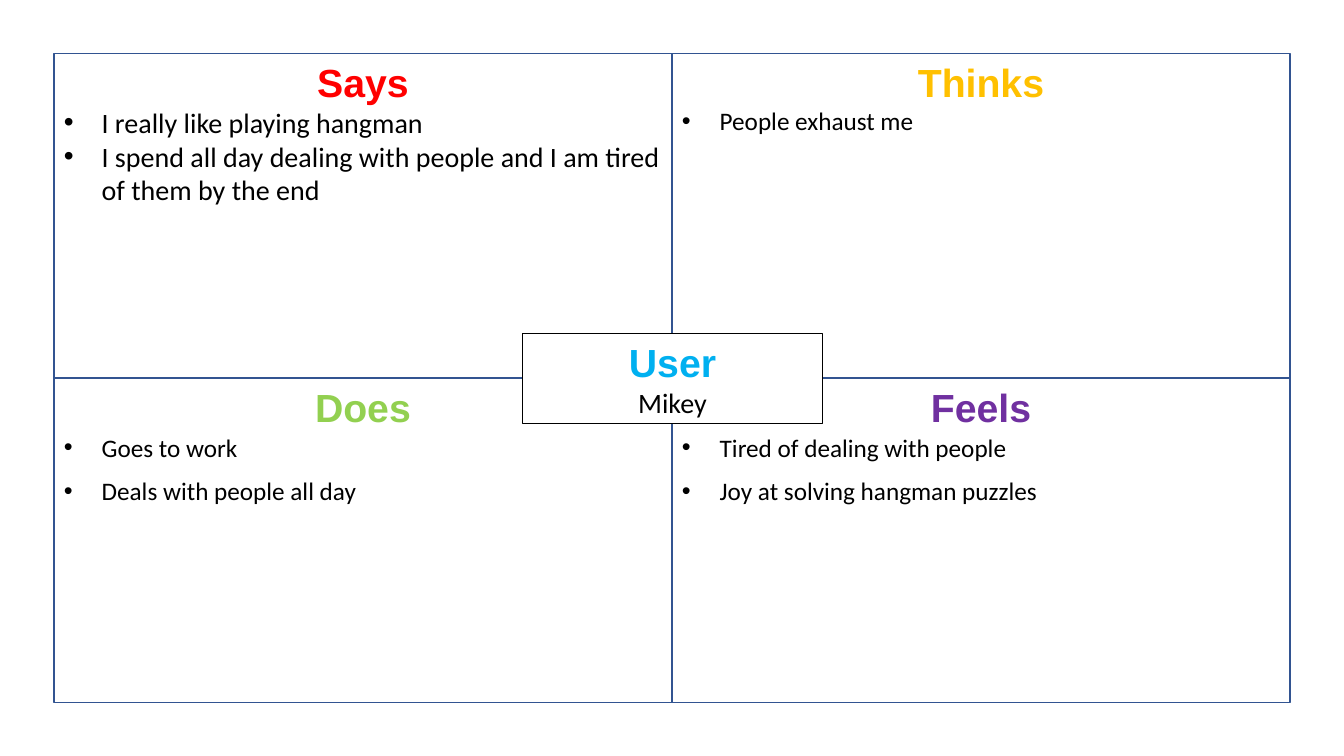
import pptx
import pptx.dml.color
import pptx.enum.shapes
import pptx.enum.text
import pptx.util
from lxml import etree
from pptx.oxml.ns import qn

COLORS = {
    "white": "FFFFFF", "black": "000000", "border": "325491",
    "Says": "FF0000", "Thinks": "FFC000", "Does": "92D050",
    "Feels": "7030A0", "User": "00B0F0",
}
# Heading, text size, line spacing, space after, items; in reading order
QUADRANTS = [
    ("Says", 20, 1.0, 0, [
        "I really like playing hangman",
        "I spend all day dealing with people and I am tired of them by the end",
    ]),
    ("Thinks", 18, 1.0, 0, ["People exhaust me"]),
    ("Does", 18, 1.07, 8, ["Goes to work", "Deals with people all day"]),
    ("Feels", 18, 1.07, 8, [
        "Tired of dealing with people", "Joy at solving hangman puzzles",
    ]),
]
USER_NAME = "Mikey"

SLIDE_WIDTH, SLIDE_HEIGHT = 13.33, 7.5
COLUMNS = 2
CELL_WIDTH, CELL_HEIGHT = 6.13, 3.22
CENTER_X, CENTER_Y = SLIDE_WIDTH / 2, SLIDE_HEIGHT / 2
USER_BOX = (5.18, 3.31, 2.98, 0.89)
BULLET_INDENT = pptx.util.Pt(27)


def rgb(name):
    return pptx.dml.color.RGBColor.from_string(COLORS[name])


def format_paragraph(paragraph, font_name, size, color, bold=False):
    for run in paragraph.runs:
        run.font.name = font_name
        run.font.size = pptx.util.Pt(size)
        run.font.bold = bold
        run.font.color.rgb = rgb(color)


def add_bullet(paragraph):
    properties = paragraph._p.get_or_add_pPr()
    properties.set("marL", str(BULLET_INDENT))
    properties.set("indent", str(-BULLET_INDENT))
    etree.SubElement(properties, qn("a:buFont")).set("typeface", "Arial")
    etree.SubElement(properties, qn("a:buChar")).set("char", "•")


def add_box(slide, box, border, heading, items, size):
    """Add a bordered box with a coloured heading; return the item paragraphs."""
    shape = slide.shapes.add_shape(
        pptx.enum.shapes.MSO_SHAPE.RECTANGLE,
        *(pptx.util.Inches(length) for length in box))
    shape.shadow.inherit = False
    shape.fill.solid()
    shape.fill.fore_color.rgb = rgb("white")
    shape.line.color.rgb = rgb(border)
    shape.line.width = pptx.util.Pt(1)

    text_frame = shape.text_frame
    text_frame.word_wrap = True
    text_frame.vertical_anchor = pptx.enum.text.MSO_ANCHOR.TOP
    text_frame.text = "\n".join([heading, *items])
    title, *item_paragraphs = text_frame.paragraphs
    title.alignment = pptx.enum.text.PP_ALIGN.CENTER
    format_paragraph(title, "Arial", 28, heading, bold=True)
    for paragraph in item_paragraphs:
        format_paragraph(paragraph, "Calibri", size, "black")
    return item_paragraphs


def main():
    presentation = pptx.Presentation()
    presentation.slide_width = pptx.util.Inches(SLIDE_WIDTH)
    presentation.slide_height = pptx.util.Inches(SLIDE_HEIGHT)
    slide = presentation.slides.add_slide(
        presentation.slide_layouts.get_by_name("Blank"))

    for index, (heading, size, line_spacing, space_after, items) in enumerate(QUADRANTS):
        row, column = divmod(index, COLUMNS)
        cell = (CENTER_X + (column - 1) * CELL_WIDTH,
                CENTER_Y + (row - 1) * CELL_HEIGHT, CELL_WIDTH, CELL_HEIGHT)
        for paragraph in add_box(slide, cell, "border", heading, items, size):
            paragraph.alignment = pptx.enum.text.PP_ALIGN.LEFT
            paragraph.line_spacing = line_spacing
            paragraph.space_after = pptx.util.Pt(space_after)
            add_bullet(paragraph)

    [name] = add_box(slide, USER_BOX, "black", "User", [USER_NAME], 20)
    name.alignment = pptx.enum.text.PP_ALIGN.CENTER

    presentation.save("out.pptx")


if __name__ == "__main__":
    main()
